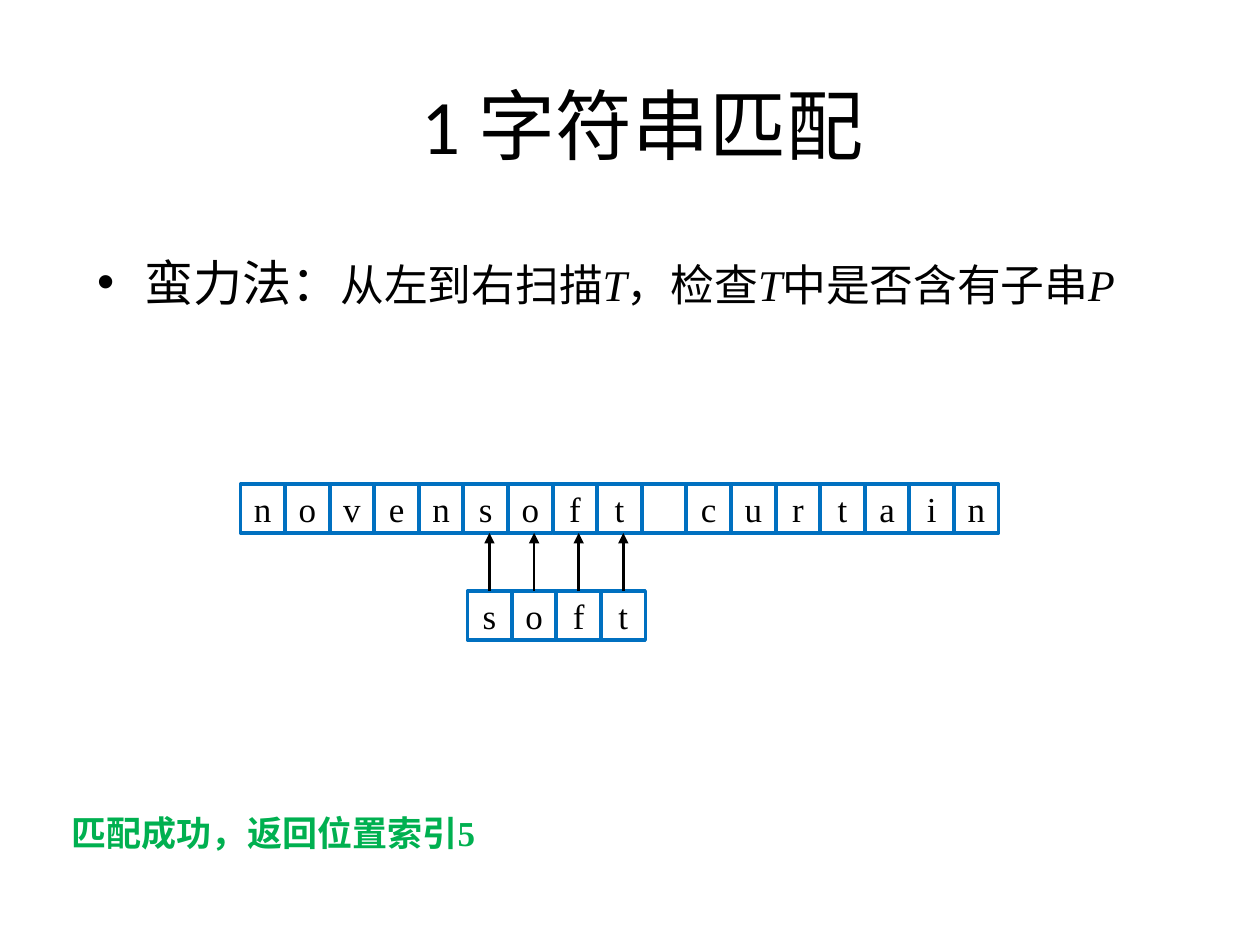
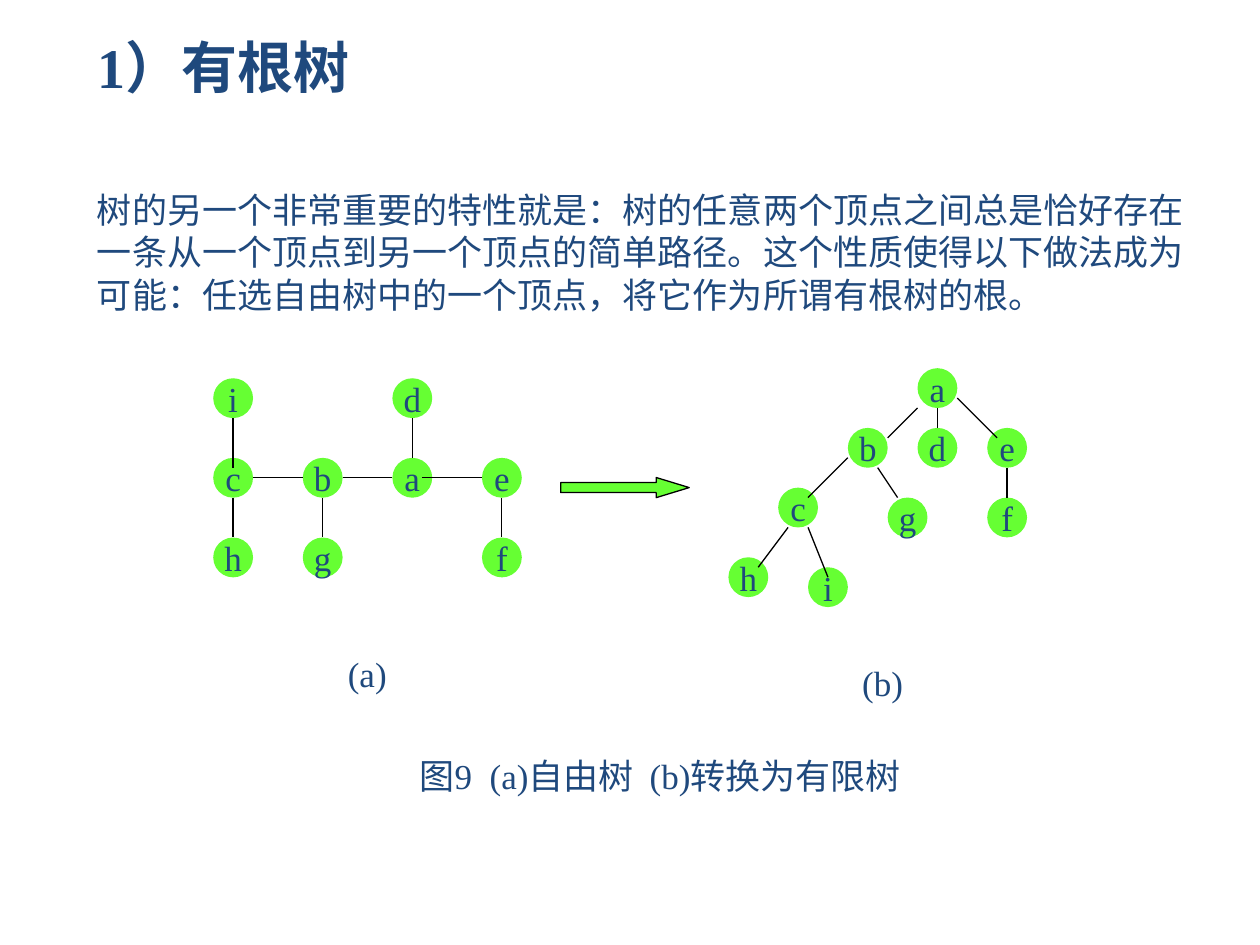
from lxml import etree
from pptx import Presentation
from pptx.dml.color import RGBColor
from pptx.enum.shapes import MSO_CONNECTOR, MSO_SHAPE
from pptx.enum.text import MSO_ANCHOR, MSO_AUTO_SIZE, PP_ALIGN
from pptx.oxml.ns import qn
from pptx.util import Inches, Pt

STRAIGHT = MSO_CONNECTOR.STRAIGHT
RECTANGLE, OVAL, RIGHT_ARROW = MSO_SHAPE.RECTANGLE, MSO_SHAPE.OVAL, MSO_SHAPE.RIGHT_ARROW
TOP, MIDDLE = MSO_ANCHOR.TOP, MSO_ANCHOR.MIDDLE
LEFT, CENTER = PP_ALIGN.LEFT, PP_ALIGN.CENTER
TOP_SIDE = 0
TITLE_ONLY = 5

COLUMNS, ROWS = 100, 75
SERIF, SANS, CJK = "Times New Roman", "Calibri", "Noto Sans CJK SC"
BLACK, BLUE, GREEN = "000000", "0070C0", "00B050"
NAVY, LIME = "1F497D", "66FF33"


def color(hex_text):
    return RGBColor.from_string(hex_text)


class Builder:
    """Holds the deck, its style and the current page; lengths are grid units."""

    def __init__(self):
        self.deck = Presentation()
        self.deck.slide_width, self.deck.slide_height = Inches(10), Inches(7.5)
        self.column = self.deck.slide_width / COLUMNS
        self.row = self.deck.slide_height / ROWS
        self.page = None
        self.ink = BLACK

    def new_page(self, ink):
        self.page = self.deck.slides.add_slide(self.deck.slide_layouts[TITLE_ONLY])
        self.ink = ink

    def area(self, left, top, width, height):
        return (round(left * self.column), round(top * self.row),
                round(width * self.column), round(height * self.row))

    def add_span(self, para, text, size=20, font=SERIF, ink=None, bold=False, italic=False):
        span = para.add_run()
        span.text = text
        span.font.size, span.font.name = Pt(size), font
        span.font.bold, span.font.italic = bold, italic
        span.font.color.rgb = color(ink or self.ink)
        properties = span.font._element
        etree.SubElement(properties, qn("a:ea")).set("typeface", CJK)

    def fill_text(self, box, spans, align=LEFT, anchor=TOP, wrap=True, pitch=None):
        """Write spans, each a text with its font options, as one paragraph."""
        frame = box.text_frame
        frame.auto_size = MSO_AUTO_SIZE.NONE
        frame.word_wrap, frame.vertical_anchor = wrap, anchor
        frame.margin_left = frame.margin_right = 0
        frame.margin_top = frame.margin_bottom = 0
        para = frame.paragraphs[0]
        para.alignment = align
        if pitch:
            para.line_spacing = Pt(pitch)
        for text, options in spans:
            self.add_span(para, text, **options)
        return para

    def title(self, place, text, align, anchor, **options):
        box = self.page.shapes.title
        box.left, box.top, box.width, box.height = self.area(*place)
        self.fill_text(box, [(text, options)], align, anchor)

    def text(self, place, spans, align=LEFT, pitch=None):
        box = self.page.shapes.add_textbox(*self.area(*place))
        return self.fill_text(box, spans, align, pitch=pitch)

    def bullet(self, para, indent):
        properties = para._p.get_or_add_pPr()
        offset = round(indent * self.column)
        properties.set("marL", str(offset))
        properties.set("indent", str(-offset))
        etree.SubElement(properties, qn("a:buFont")).set("typeface", "Arial")
        etree.SubElement(properties, qn("a:buChar")).set("char", "•")

    def shape(self, kind, place, label="", fill=None, line=None, weight=0.75):
        box = self.page.shapes.add_shape(kind, *self.area(*place))
        box.shadow.inherit = False
        if fill:
            box.fill.solid()
            box.fill.fore_color.rgb = color(fill)
        else:
            box.fill.background()
        if line:
            box.line.color.rgb = color(line)
            box.line.width = Pt(weight)
        else:
            box.line.fill.background()
        if label.strip():
            self.fill_text(box, [(label, {})], CENTER, MIDDLE, wrap=False)
        return box

    def line(self, start, end, weight=0.75, arrow=False, start_box=None):
        x1, y1, x2, y2 = self.area(*start, *end)
        link = self.page.shapes.add_connector(STRAIGHT, x1, y1, x2, y2)
        if start_box is not None:
            link.begin_connect(start_box, TOP_SIDE)
        link.line.color.rgb = color(BLACK)
        link.line.width = Pt(weight)
        if arrow:
            etree.SubElement(link.line._get_or_add_ln(), qn("a:tailEnd")).set("type", "triangle")
        etree.SubElement(link._element.spPr, qn("a:effectLst"))

    def cells(self, word, left, top):
        """A row of boxed letters."""
        return [self.shape(RECTANGLE, (left + i * CELL_STEP, top, CELL_WIDTH, CELL_HEIGHT),
                           letter, line=BLUE, weight=2)
                for i, letter in enumerate(word)]

    def tree(self, origin, nodes, edges):
        """Nodes sit on a fine lattice; an edge is (node, dx, dy, node, dx, dy)."""
        def spot(name, dx=0, dy=0):
            x, y = nodes[name]
            return origin[0] + (x + dx) * LATTICE, origin[1] + (y + dy) * LATTICE

        side = 2 * RADIUS * LATTICE
        for name in nodes:
            self.shape(OVAL, (*spot(name, -RADIUS, -RADIUS), side, side), name, fill=LIME)
        for first, dx1, dy1, second, dx2, dy2 in edges:
            self.line(spot(first, dx1, dy1), spot(second, dx2, dy2))


# Letter cells and tree lattice
CELL_WIDTH, CELL_HEIGHT, CELL_STEP = 3.5, 3.9, 3.54
TEXT_TOP, PATTERN_TOP = 38.4, 46.9
LATTICE, RADIUS = 0.79, 2

FREE_NODES = {"i": (0, 0), "c": (0, 8), "h": (0, 16), "b": (9, 8), "g": (9, 16),
              "a": (18, 8), "d": (18, 0), "e": (27, 8), "f": (27, 16)}
FREE_EDGES = [("i", 0, 2, "c", 0, -1), ("c", 0, 2, "h", 0, -2), ("c", 2, 0, "b", -2, 0),
              ("b", 0, 2, "g", 0, -2), ("b", 2, 0, "a", -2, 0), ("d", 0, 2, "a", 0, -2),
              ("a", 1, 0, "e", -2, 0), ("e", 0, 2, "f", 0, -2)]
ROOTED_NODES = {"a": (0, 0), "b": (-7, 6), "c": (-14, 12), "e": (7, 6), "g": (-3, 13),
                "d": (0, 6), "f": (7, 13), "h": (-19, 19), "i": (-11, 20)}
ROOTED_EDGES = [("a", -2, 2, "b", 2, -1), ("b", -2, 1, "c", 1, -1), ("c", -1, 2, "h", 1, -1),
                ("a", 0, 2, "d", 0, -2), ("a", 2, 1, "e", -1, -1), ("b", 1, 2, "g", -1, -2),
                ("e", 0, 2, "f", 0, -2), ("c", 1, 2, "i", 0, -1)]


def matching_page(build):
    build.new_page(BLACK)
    build.title((4.3, 3.6, 93.4, 12.5), "1 字符串匹配", CENTER, MIDDLE, size=44, font=SANS)

    # Method
    plain, symbol = {"size": 25}, {"size": 25, "italic": True}
    para = build.text((7.7, 18.3, 83.8, 9), [
        ("蛮力法：", {"size": 28}), ("从左到右扫描", plain), ("T", symbol),
        ("，检查", plain), ("T", symbol), ("中是否含有子串", plain), ("P", symbol)], pitch=46)
    para.space_before = Pt(5.6)
    build.bullet(para, 3.8)

    # Text, pattern and the matching letters
    build.cells("novensoft curtain", 19.1, TEXT_TOP)
    pattern_left = 37.1
    for i, cell in enumerate(build.cells("soft", pattern_left, PATTERN_TOP)):
        x = pattern_left + i * CELL_STEP + CELL_WIDTH / 2
        build.line((x, PATTERN_TOP), (x, TEXT_TOP + CELL_HEIGHT), 1.5, True, cell)

    # Result
    build.text((5.7, 64.4, 60, 5), [
        ("匹配成功，返回位置索引", {"font": CJK, "ink": GREEN, "bold": True}),
        ("5", {"ink": GREEN, "bold": True})])


def tree_page(build):
    build.new_page(NAVY)
    build.title((7.7, 2.6, 87, 7), "1）有根树", LEFT, TOP, size=32, bold=True)
    build.text((7.7, 15, 87, 11), [(
        "树的另一个非常重要的特性就是：树的任意两个顶点之间总是恰好存在一条从一个顶点到另一个顶点的简单路径。"
        "这个性质使得以下做法成为可能：任选自由树中的一个顶点，将它作为所谓有根树的根。", {})], pitch=24)

    # Free tree turned into a rooted tree
    build.tree((18.5, 31.6), FREE_NODES, FREE_EDGES)
    arrow = build.shape(RIGHT_ARROW, (44.5, 37.9, 10.2, 1.6), fill=LIME, line=BLACK)
    arrow.adjustments[1] = 1.64
    build.tree((74.4, 30.8), ROOTED_NODES, ROOTED_EDGES)

    # Captions
    for place, caption in (((20.1, 51.8, 18.1, 4), "(a)"),
                           ((61, 52.5, 18.1, 4), "(b)"),
                           ((20.9, 59.9, 63, 4.3), "图9  (a)自由树  (b)转换为有限树")):
        build.text(place, [(caption, {})], CENTER)


def main():
    build = Builder()
    matching_page(build)
    tree_page(build)
    build.deck.save("out.pptx")


if __name__ == "__main__":
    main()
